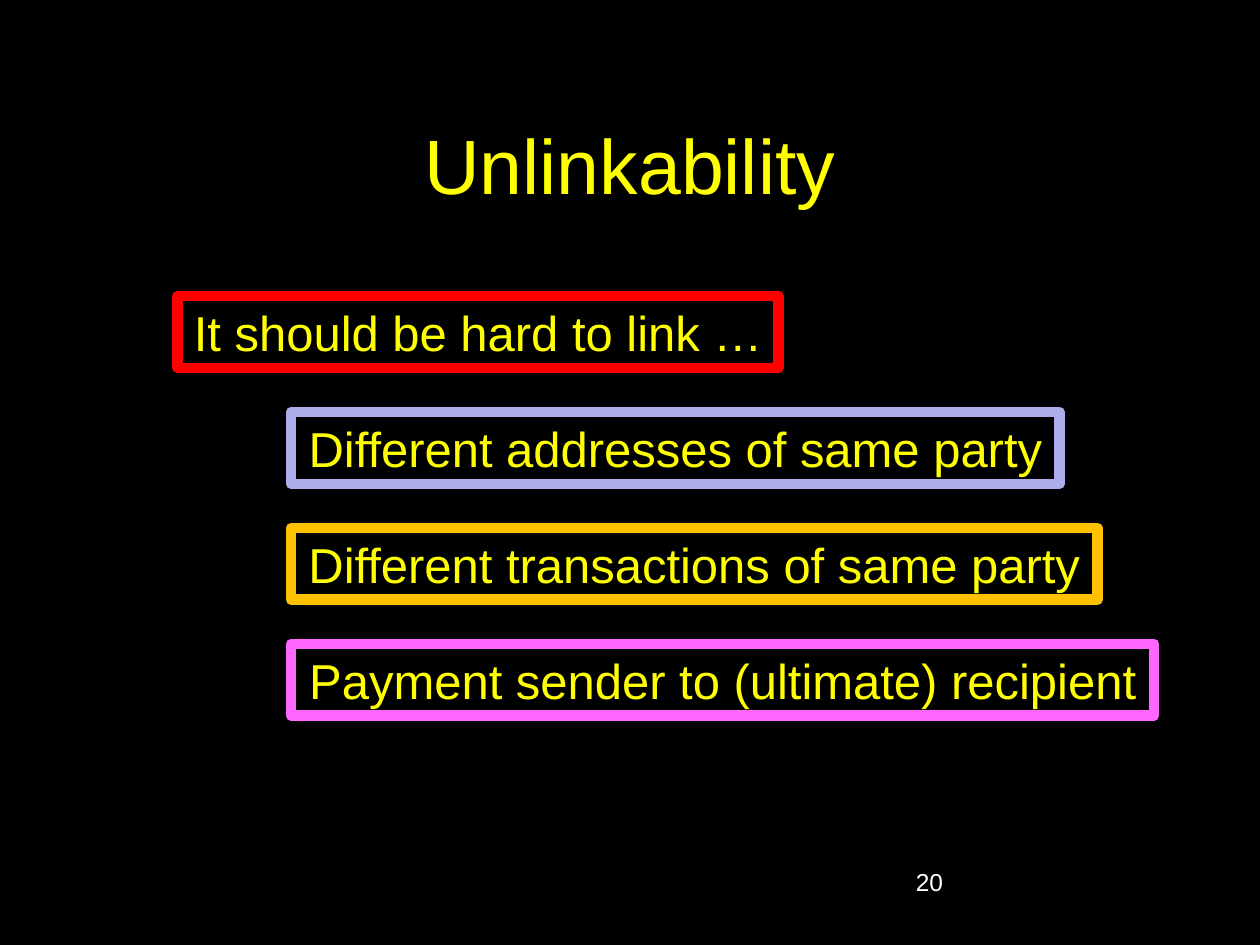
from pptx import Presentation
from pptx.dml.color import RGBColor
from pptx.enum.shapes import MSO_SHAPE
from pptx.enum.text import MSO_ANCHOR, MSO_AUTO_SIZE, PP_ALIGN
from pptx.util import Inches, Pt

TITLE = "Unlinkability"
SLIDE_NUMBER = "20"
STATEMENTS = [
    ("It should be hard to link …", 1.41, 4.77, "FF0000"),
    ("Different addresses of same party", 2.31, 6.1, "ADADEB"),
    ("Different transactions of same party", 2.31, 6.4, "FFC000"),
    ("Payment sender to (ultimate) recipient", 2.31, 6.85, "FF66FF"),
]
FIRST_TOP, ROW_STEP, BOX_HEIGHT = 2.35, 0.92, 0.57
BLACK, YELLOW, WHITE = "000000", "FFFF00", "FFFFFF"


def color(value):
    return RGBColor.from_string(value)


def write(shape, text, size, text_color, alignment):
    paragraph = shape.text_frame.paragraphs[0]
    paragraph.text = text
    paragraph.alignment = alignment
    paragraph.font.name = "Arial"
    paragraph.font.size = Pt(size)
    paragraph.font.color.rgb = color(text_color)


def add_label(slide, box, text, size, text_color, alignment, anchor):
    label = slide.shapes.add_textbox(*map(Inches, box))
    label.text_frame.word_wrap = True
    label.text_frame.vertical_anchor = anchor
    write(label, text, size, text_color, alignment)


def add_statement(slide, top, text, left, width, border):
    shape = slide.shapes.add_shape(
        MSO_SHAPE.RECTANGLE, *map(Inches, (left, top, width, BOX_HEIGHT)))
    shape.shadow.inherit = False
    shape.fill.solid()
    shape.fill.fore_color.rgb = color(BLACK)
    shape.line.color.rgb = color(border)
    shape.line.width = Pt(6)
    frame = shape.text_frame
    frame.word_wrap = False
    frame.auto_size = MSO_AUTO_SIZE.SHAPE_TO_FIT_TEXT
    frame.vertical_anchor = MSO_ANCHOR.TOP
    write(shape, text, 28, YELLOW, PP_ALIGN.CENTER)


def main():
    presentation = Presentation()
    presentation.slide_width = Inches(10)
    presentation.slide_height = Inches(7.5)
    slide = presentation.slides.add_slide(presentation.slide_layouts[6])
    slide.background.fill.solid()
    slide.background.fill.fore_color.rgb = color(BLACK)
    add_label(slide, (0.75, 0.67, 8.5, 1.25), TITLE, 44, YELLOW,
              PP_ALIGN.CENTER, MSO_ANCHOR.MIDDLE)
    for row, statement in enumerate(STATEMENTS):
        add_statement(slide, FIRST_TOP + row * ROW_STEP, *statement)
    add_label(slide, (7.17, 6.83, 2.08, 0.5), SLIDE_NUMBER, 14, WHITE,
              PP_ALIGN.LEFT, MSO_ANCHOR.TOP)
    presentation.save("out.pptx")


if __name__ == "__main__":
    main()
